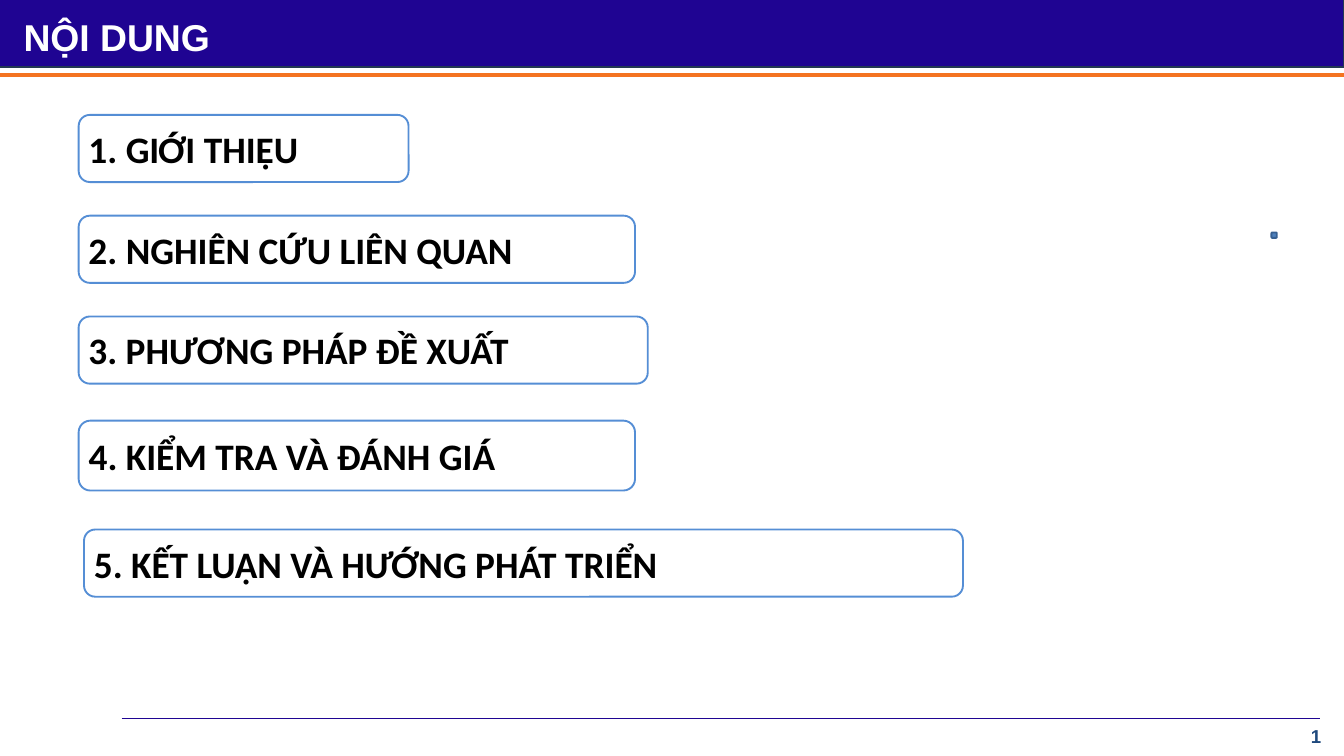
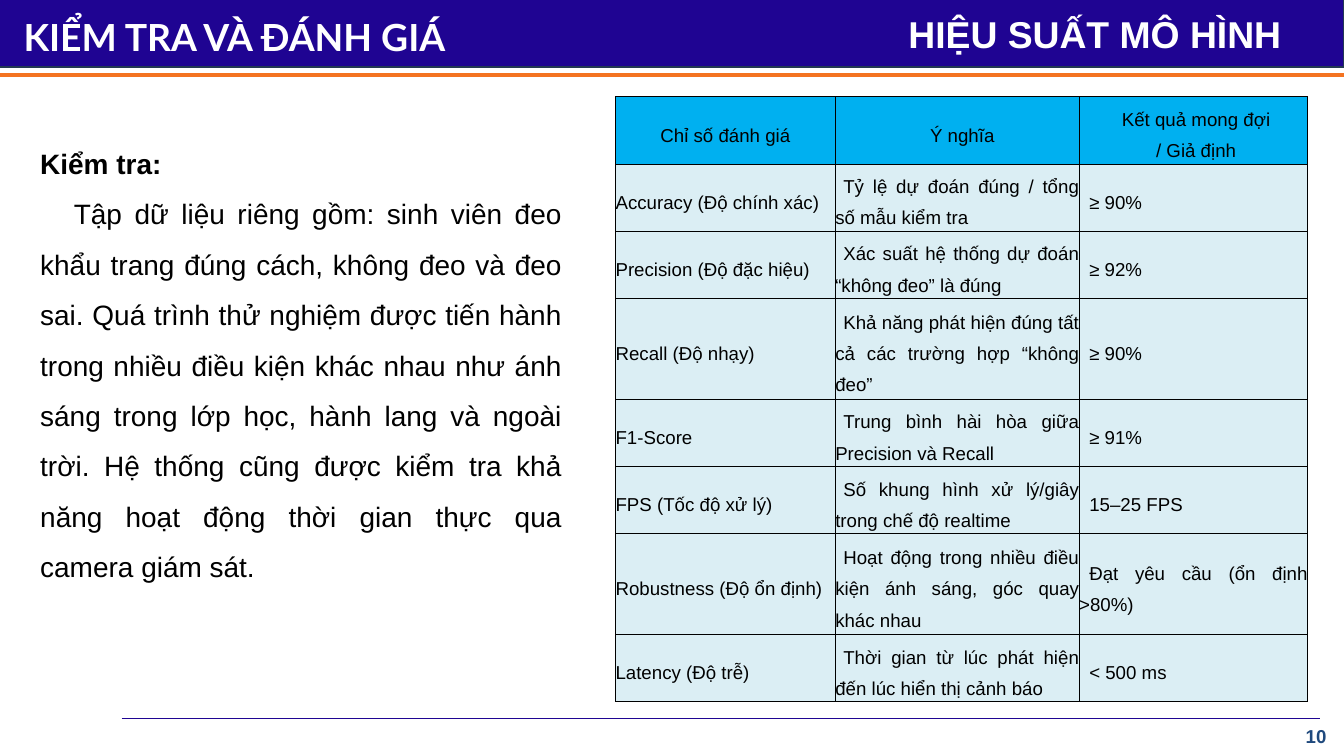
from lxml import etree
from pptx import Presentation
from pptx.dml.color import RGBColor
from pptx.enum.shapes import MSO_CONNECTOR, MSO_SHAPE
from pptx.enum.text import MSO_ANCHOR as Anchor, MSO_AUTO_SIZE as AutoSize, PP_ALIGN as Align
from pptx.oxml.ns import qn
from pptx.util import Inches, Pt

NAVY = RGBColor(0x1F, 0x04, 0x92)
BAND_EDGE = RGBColor(0x23, 0x39, 0x53)
ORANGE = RGBColor(0xF4, 0x73, 0x21)
NUMBER_BLUE = RGBColor(0x1F, 0x49, 0x7D)
BOX_EDGE = RGBColor(0x55, 0x8E, 0xD5)
DOT_FILL = RGBColor(0x4F, 0x81, 0xBD)
DOT_EDGE = RGBColor(0x37, 0x60, 0x92)
HEADER_FILL = RGBColor(0x00, 0xB0, 0xF0)
CELL_FILL = RGBColor(0xDB, 0xEE, 0xF4)
WHITE = RGBColor(0xFF, 0xFF, 0xFF)
BLACK = RGBColor(0x00, 0x00, 0x00)

TOPICS = [  # text, left, top, width, height
    ("1. GIỚI THIỆU", 1.17, 1.71, 4.91, 1),
    ("2. NGHIÊN CỨU LIÊN QUAN", 1.17, 3.21, 8.28, 1),
    ("3. PHƯƠNG PHÁP ĐỀ XUẤT", 1.17, 4.71, 8.47, 1),
    ("4. KIỂM TRA VÀ ĐÁNH GIÁ", 1.17, 6.26, 8.28, 1.04),
    ("5. KẾT LUẬN VÀ HƯỚNG PHÁT TRIỂN", 1.25, 7.88, 13.08, 1),
]

TESTING = (
    "Tập dữ liệu riêng gồm: sinh viên đeo khẩu trang đúng cách, không đeo và đeo sai. "
    "Quá trình thử nghiệm được tiến hành trong nhiều điều kiện khác nhau như ánh sáng "
    "trong lớp học, hành lang và ngoài trời. Hệ thống cũng được kiểm tra khả năng hoạt "
    "động thời gian thực qua camera giám sát."
)

METRICS = [
    ("Chỉ số đánh giá", "Ý nghĩa", "Kết quả mong đợi\n/ Giả định"),
    ("Accuracy (Độ chính xác)", "Tỷ lệ dự đoán đúng / tổng số mẫu kiểm tra", "≥ 90%"),
    ("Precision (Độ đặc hiệu)", "Xác suất hệ thống dự đoán “không đeo” là đúng", "≥ 92%"),
    ("Recall (Độ nhạy)", "Khả năng phát hiện đúng tất cả các trường hợp “không đeo”", "≥ 90%"),
    ("F1-Score", "Trung bình hài hòa giữa Precision và Recall", "≥ 91%"),
    ("FPS (Tốc độ xử lý)", "Số khung hình xử lý/giây trong chế độ realtime", "15–25 FPS"),
    ("Robustness (Độ ổn định)", "Hoạt động trong nhiều điều kiện ánh sáng, góc quay khác nhau",
     "Đạt yêu cầu (ổn định >80%)"),
    ("Latency (Độ trễ)", "Thời gian từ lúc phát hiện đến lúc hiển thị cảnh báo", "< 500 ms"),
]
COLUMN_WIDTHS = (3.27, 3.63, 3.4)
ROW_HEIGHTS = (1, 1, 1, 1.5, 1, 1, 1.5, 1)
HEADER_INDENTS = (0, 0.15, 0.08)
CELL_INDENTS = (0, 0.12, 0.15)


class SlideBuilder:
    """Holds the shared style and the slide being built."""

    def __init__(self, deck):
        self.deck = deck
        self.page = None

    def start(self, title, number, title_width, title_font="Arial"):
        self.page = self.deck.slides.add_slide(self.deck.slide_layouts[5])
        self.line(0, 1.12, 20, ORANGE, 4.5)
        self.shape(MSO_SHAPE.RECTANGLE, (-0.02, -0.04, 20.02, 1.04), NAVY, BAND_EDGE)
        # Title in front of its band
        heading = self.page.shapes.title
        self.page.shapes._spTree.append(heading._element)
        self.place(heading, (0.25, 0.16, title_width, 0.77))
        self.heading_text(heading, title, title_font)
        # Footer
        self.line(1.81, 10.69, 19.64, NAVY, 1.5)
        box = self.text_box((19.17, 10.79, 0.83, 0.33), Anchor.MIDDLE)
        self.add_text(box.text_frame.paragraphs[0], number, 20, color=NUMBER_BLUE,
                      bold=True, align=Align.CENTER)

    def place(self, shape, area):
        shape.left, shape.top, shape.width, shape.height = map(Inches, area)

    def add_text(self, para, text, size, font="Arial", color=BLACK, bold=False,
                 align=Align.LEFT, spacing=None, indent=0):
        para.alignment = align
        if spacing:
            para.line_spacing = spacing
        if indent:
            para._p.get_or_add_pPr().set("indent", str(Inches(indent)))
        span = para.add_run()
        span.text = text
        span.font.name, span.font.size, span.font.bold = font, Pt(size), bold
        span.font.color.rgb = color

    def heading_text(self, box, text, font="Arial"):
        frame = box.text_frame
        frame.vertical_anchor = Anchor.TOP
        frame.auto_size = AutoSize.SHAPE_TO_FIT_TEXT
        self.add_text(frame.paragraphs[0], text, 40, font, WHITE, True)

    def text_box(self, area, anchor=Anchor.TOP):
        box = self.page.shapes.add_textbox(*map(Inches, area))
        box.text_frame.word_wrap = True
        box.text_frame.vertical_anchor = anchor
        return box

    def shape(self, kind, area, fill, edge):
        box = self.page.shapes.add_shape(kind, *map(Inches, area))
        box.shadow.inherit = False
        box.fill.solid()
        box.fill.fore_color.rgb = fill
        box.line.color.rgb = edge
        box.line.width = Pt(2)
        return box

    def line(self, left, top, right, color, width):
        rule = self.page.shapes.add_connector(
            MSO_CONNECTOR.STRAIGHT, *map(Inches, (left, top, right, top)))
        rule.line.color.rgb = color
        rule.line.width = Pt(width)
        etree.SubElement(rule._element.spPr, qn("a:effectLst"))

    def topic(self, text, *area):
        box = self.shape(MSO_SHAPE.ROUNDED_RECTANGLE, area, WHITE, BOX_EDGE)
        box.text_frame.word_wrap = True
        box.text_frame.vertical_anchor = Anchor.MIDDLE
        self.add_text(box.text_frame.paragraphs[0], text, 40, "Calibri", bold=True)

    def border(self, cell):
        properties = cell._tc.get_or_add_tcPr()
        for side in ("lnL", "lnR", "lnT", "lnB"):
            edge = etree.SubElement(properties, qn(f"a:{side}"), w=str(Pt(1)))
            fill = etree.SubElement(edge, qn("a:solidFill"))
            etree.SubElement(fill, qn("a:srgbClr"), val=str(BLACK))

    def table(self, rows, left, top):
        area = (left, top, sum(COLUMN_WIDTHS), sum(ROW_HEIGHTS))
        grid = self.page.shapes.add_table(
            len(rows), len(COLUMN_WIDTHS), *map(Inches, area)).table
        grid.first_row = grid.horz_banding = False
        for column, width in zip(grid.columns, COLUMN_WIDTHS):
            column.width = Inches(width)
        for index, (row, height) in enumerate(zip(grid.rows, ROW_HEIGHTS)):
            row.height = Inches(height)
            header = index == 0
            indents = HEADER_INDENTS if header else CELL_INDENTS
            for cell, text, indent in zip(row.cells, rows[index], indents):
                self.border(cell)
                cell.fill.solid()
                cell.fill.fore_color.rgb = HEADER_FILL if header else CELL_FILL
                cell.vertical_anchor = Anchor.MIDDLE
                cell.margin_left = cell.margin_right = 0
                cell.margin_top = cell.margin_bottom = 0
                frame = cell.text_frame
                for number, line in enumerate(text.split("\n")):
                    para = frame.add_paragraph() if number else frame.paragraphs[0]
                    self.add_text(para, line, 20, spacing=1.5, indent=indent,
                                  align=Align.CENTER if header else Align.JUSTIFY)


def main():
    deck = Presentation()
    deck.slide_width, deck.slide_height = Inches(20), Inches(11.25)
    builder = SlideBuilder(deck)

    # Contents
    builder.start("NỘI DUNG", "1", 11.33)
    builder.shape(MSO_SHAPE.ROUNDED_RECTANGLE, (18.92, 3.46, 0.08, 0.08), DOT_FILL, DOT_EDGE)
    for topic in TOPICS:
        builder.topic(*topic)

    # Testing and model performance
    builder.start("KIỂM TRA VÀ ĐÁNH GIÁ", "10", 14.42, "Lato")
    builder.heading_text(builder.text_box((13.42, 0.12, 6.5, 0.77)), "HIỆU SUẤT MÔ HÌNH")
    frame = builder.text_box((0.5, 1.88, 7.96, 8.7)).text_frame
    builder.add_text(frame.paragraphs[0], "Kiểm tra:", 30, bold=True,
                     align=Align.JUSTIFY, spacing=1.5)
    builder.add_text(frame.add_paragraph(), TESTING, 30,
                     align=Align.JUSTIFY, spacing=1.5, indent=0.5)
    builder.table(METRICS, 9.16, 1.44)

    deck.save("out.pptx")


if __name__ == "__main__":
    main()
